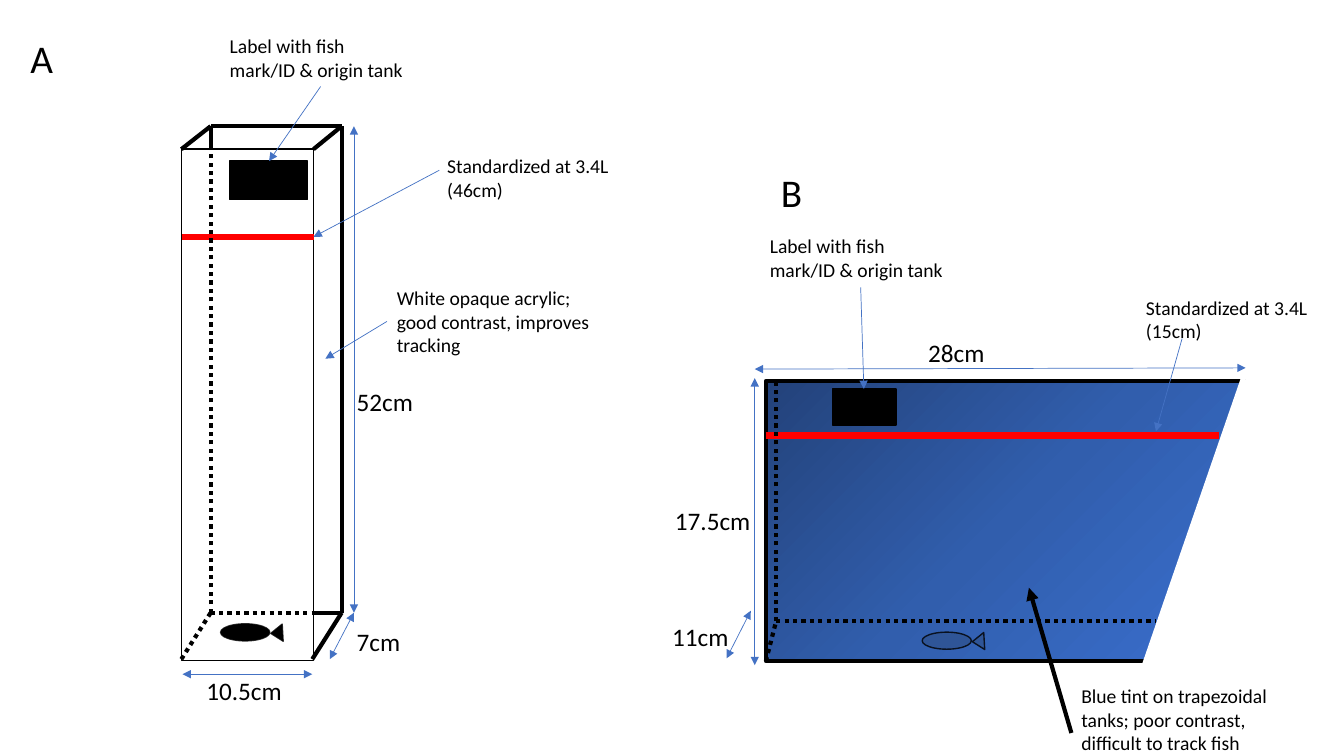
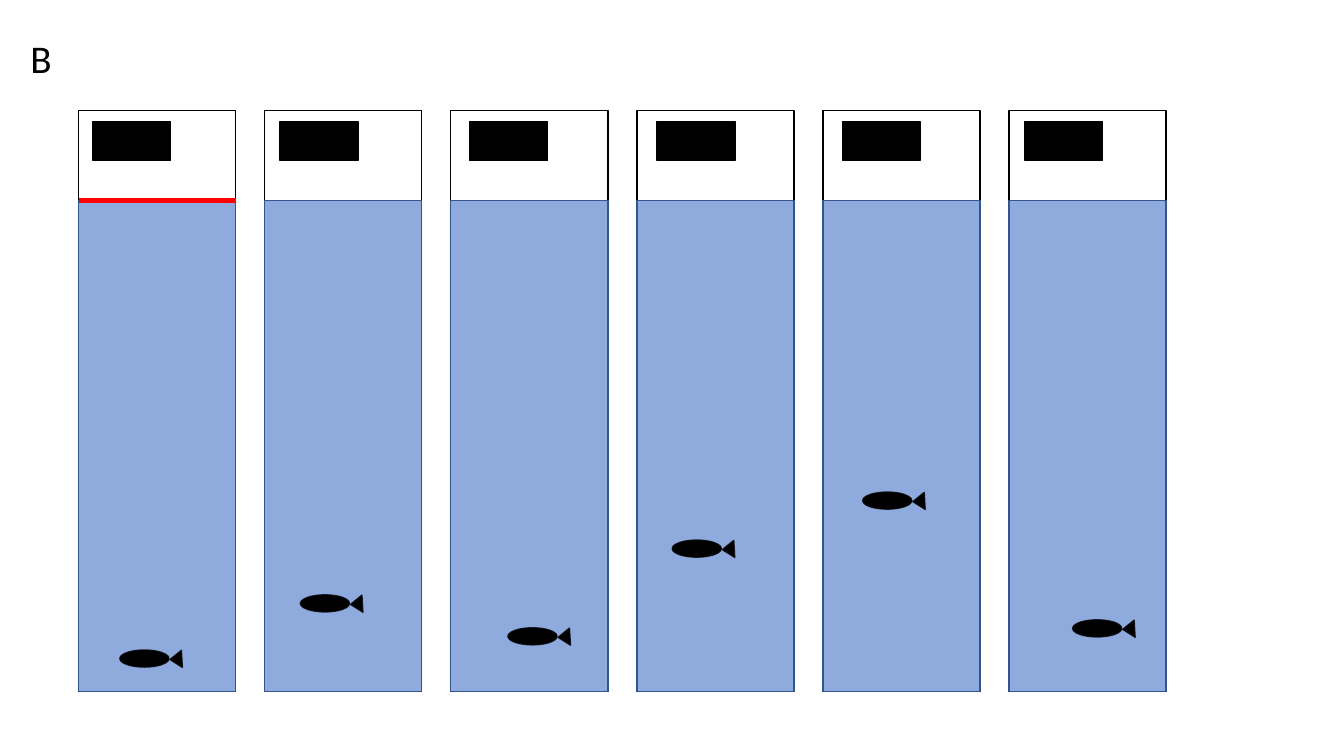
import copy
from dataclasses import dataclass
from typing import NamedTuple, Optional

import pptx
import pptx.dml.color
import pptx.enum.dml
import pptx.enum.shapes
import pptx.enum.text
import pptx.oxml.ns
import pptx.util
from lxml import etree

Cm, Pt = pptx.util.Cm, pptx.util.Pt
qn = pptx.oxml.ns.qn
KIND = pptx.enum.shapes.MSO_SHAPE


# Theme
@dataclass(frozen=True)
class Theme:
    font: str = "Calibri"
    black: str = "000000"
    white: str = "FFFFFF"
    red: str = "FF0000"
    blue: str = "4472C4"
    navy: str = "2F5597"
    water: str = "8FAADC"
    edge: str = "325491"
    tint: tuple = ((0, "23427A"), (0.5, "315EAD"), (1, "3A6FCE"))
    big: int = 28
    mid: int = 18
    small: int = 14


T = Theme()


class Pen(NamedTuple):
    color: str
    width: float
    dots: bool = False
    head: bool = False
    tail: bool = False


class Line(NamedTuple):
    x1: float
    y1: float
    x2: float
    y2: float
    pen: Pen


class Box(NamedTuple):
    x: float
    y: float
    w: float
    h: float


class Note(NamedTuple):
    text: str
    box: Box
    size: int = T.small


class Lane(NamedTuple):
    label: float
    fish_x: float
    fish_y: float


WALL = Pen(T.black, 3)
DOTS = Pen(T.black, 3, dots=True)
LEVEL = Pen(T.red, 4.5)
POINT = Pen(T.blue, 0.5, tail=True)
SPAN = Pen(T.blue, 0.5, head=True, tail=True)
BOLD = Pen(T.black, 3, tail=True)
CORNER = Box(0.51, 0.74, 2.24, 1.45)


# Drawing tools
def rgb(code: str) -> pptx.dml.color.RGBColor:
    return pptx.dml.color.RGBColor.from_string(code)


def put(slide, box: Box, fill: Optional[str], line: Optional[str] = T.black,
        width: float = 1, kind=KIND.RECTANGLE):
    shape = slide.shapes.add_shape(kind, *map(Cm, box))
    shape.shadow.inherit = False
    if fill:
        shape.fill.solid()
        shape.fill.fore_color.rgb = rgb(fill)
    if line:
        shape.line.color.rgb = rgb(line)
        shape.line.width = Pt(width)
    else:
        shape.line.fill.background()
    return shape


def shade(shape, stops: tuple) -> None:
    shape.fill.gradient()
    shape.fill.gradient_angle = 315
    first = shape._element.spPr.find(qn("a:gradFill")).find(qn("a:gsLst"))[0]
    first.addnext(copy.deepcopy(first))
    for stop, (place, color) in zip(shape.fill.gradient_stops, stops):
        stop.position = place
        stop.color.rgb = rgb(color)


def draw(slide, line: Line) -> None:
    pen = line.pen
    link = slide.shapes.add_connector(
        pptx.enum.shapes.MSO_CONNECTOR.STRAIGHT, *map(Cm, line[:4]))
    link.line.color.rgb = rgb(pen.color)
    link.line.width = Pt(pen.width)
    if pen.dots:
        link.line.dash_style = pptx.enum.dml.MSO_LINE.ROUND_DOT
    props = link._element.spPr
    for tag, on in (("a:headEnd", pen.head), ("a:tailEnd", pen.tail)):
        if on:
            etree.SubElement(props.find(qn("a:ln")), qn(tag), type="triangle")
    etree.SubElement(props, qn("a:effectLst"))


def write(frame, text: str, *, size: int = T.small, color: str = T.black) -> None:
    frame.word_wrap = True
    frame.auto_size = pptx.enum.text.MSO_AUTO_SIZE.NONE
    frame.vertical_anchor = pptx.enum.text.MSO_ANCHOR.TOP
    frame.text = text
    para = frame.paragraphs[0]
    para.alignment = pptx.enum.text.PP_ALIGN.LEFT
    font = para.runs[0].font
    font.name, font.size, font.color.rgb = T.font, Pt(size), rgb(color)


def tell(slide, note: Note) -> None:
    area = slide.shapes.add_textbox(*map(Cm, note.box))
    write(area.text_frame, note.text, size=note.size)


def fish(slide, x: float, y: float, fill: str = T.black) -> None:
    body = put(slide, Box(x, y, 1.24, 0.43), fill, kind=KIND.OVAL)
    fin = put(slide, Box(x + 1.2, y + 0.08, 0.43, 0.3), fill,
              kind=KIND.ISOSCELES_TRIANGLE)
    fin.rotation = 266.6
    for part in (body, fin):
        tone = part._element.spPr.find(qn("a:ln")).find(qn("a:solidFill"))[0]
        etree.SubElement(tone, qn("a:alpha"), val="80000")


def page(deck, letter: str):
    slide = deck.slides.add_slide(deck.slide_layouts[5])
    title = slide.shapes.title
    title.left, title.top, title.width, title.height = map(Cm, CORNER)
    write(title.text_frame, letter, size=T.big)
    return slide


def size(text: str, x: float, y: float) -> Note:
    return Note(text, Box(x, y, 2.79, 1.02), T.mid)


# Tall tank
TALL_LINES = (
    Line(4.6, 5.97, 7.92, 5.97, LEVEL),
    Line(4.57, 16.61, 5.31, 15.44, DOTS),
    Line(7.87, 16.61, 8.61, 15.44, WALL),
    Line(8.61, 3.18, 8.61, 15.44, WALL),
    Line(4.57, 3.76, 5.31, 3.18, WALL),
    Line(5.31, 15.44, 5.31, 3.76, DOTS),
    Line(5.31, 3.18, 5.31, 3.76, WALL),
    Line(5.31, 15.44, 7.9, 15.44, DOTS),
    Line(7.9, 15.44, 8.61, 15.44, WALL),
    Line(8.61, 3.18, 5.31, 3.18, WALL),
    Line(8.61, 3.18, 7.9, 3.76, WALL),
    Line(8.31, 16.61, 8.92, 15.44, SPAN),
    Line(4.6, 16.99, 7.87, 16.99, SPAN),
    Line(8.92, 3.18, 8.92, 15.44, SPAN),
    Line(11.07, 4.29, 7.9, 5.97, POINT),
    Line(9.75, 8.1, 8.2, 9.04, POINT),
)
TALL_TAG = Line(8.08, 2.18, 6.78, 4.06, POINT)
TALL_NOTES = (
    size("7cm", 8.74, 15.65),
    size("10.5cm", 4.95, 16.89),
    size("52cm", 8.74, 9.6),
    Note("Standardized at 3.4L (46cm)", Box(11.02, 3.76, 5.56, 1.45)),
    Note("Label with fish mark/ID & origin tank", Box(5.54, 0.74, 5.08, 1.45)),
    Note("White opaque acrylic; good contrast, improves tracking",
         Box(9.75, 7.09, 5.56, 2.06)),
)

# Trapezoid tank
WIDE_LINES = (
    Line(19.3, 10.97, 30.71, 10.97, LEVEL),
    Line(29.79, 8.53, 29.13, 10.87, POINT),
    Line(19.02, 9.53, 19.02, 16.76, SPAN),
    Line(19.02, 9.3, 31.39, 9.27, SPAN),
    Line(19.3, 16.66, 19.56, 15.65, DOTS),
    Line(19.56, 15.65, 19.56, 9.63, DOTS),
    Line(19.56, 15.65, 29.13, 15.65, DOTS),
    Line(18.31, 16.59, 18.92, 15.39, SPAN),
    Line(27, 18.47, 25.93, 14.81, BOLD),
)
WIDE_TAG = Line(21.69, 7.24, 21.77, 9.8, POINT)
WIDE_NOTES = (
    Note("Standardized at 3.4L (15cm)", Box(28.63, 7.32, 5.56, 1.45)),
    size("17.5cm", 16.76, 12.62),
    size("28cm", 23.14, 8.38),
    size("11cm", 16.69, 15.52),
    Note("Label with fish mark/ID & origin tank", Box(19.15, 5.77, 5.08, 1.45)),
    Note("Blue tint on trapezoidal tanks; poor contrast, difficult to track fish",
         Box(27, 17.12, 5.56, 2.64)),
    Note("B", Box(19.43, 4.11, 2.24, 1.45), T.big),
)

# Row of tanks
LANES = (
    Lane(2.34, 3.02, 16.38),
    Lane(7.06, 7.57, 14.99),
    Lane(11.84, 12.8, 15.82),
    Lane(16.56, 16.94, 13.61),
    Lane(21.23, 21.74, 12.4),
    Lane(25.83, 27.03, 15.62),
)
LEFT, STEP, WIDE, FILL = 1.98, 4.69, 3.96, 5.05


def fit(slide, lines: tuple, notes: tuple, label: Box, tag: Line) -> None:
    for line in lines:
        draw(slide, line)
    put(slide, label, T.black)
    draw(slide, tag)
    for note in notes:
        tell(slide, note)


def plans(deck) -> None:
    slide = page(deck, "A")
    put(slide, Box(4.57, 3.76, 3.33, 12.88), T.white)
    fit(slide, TALL_LINES, TALL_NOTES, Box(5.79, 4.06, 1.96, 0.97), TALL_TAG)
    fish(slide, 5.56, 15.72)

    tank = put(slide, Box(19.3, 9.6, 12.04, 7.06), None, width=3)
    shade(tank, T.tint)
    put(slide, Box(28.78, 9.37, 5.09, 7.37), T.white, None,
        kind=KIND.ISOSCELES_TRIANGLE)
    fit(slide, WIDE_LINES, WIDE_NOTES, Box(20.98, 9.8, 1.6, 0.91), WIDE_TAG)
    fish(slide, 23.24, 15.93, T.navy)


def tanks(deck) -> None:
    slide = page(deck, "B")
    for i, lane in enumerate(LANES):
        x = LEFT + i * STEP
        put(slide, Box(x, 2.79, WIDE, 14.63), T.white)
        put(slide, Box(x, FILL, WIDE, 12.37), T.water, T.edge)
        put(slide, Box(lane.label, 3.07, 1.96, 0.97), T.black)
        fish(slide, lane.fish_x, lane.fish_y)
    draw(slide, Line(LEFT, FILL, LEFT + WIDE, FILL, Pen(T.red, 3)))


# Build
deck = pptx.Presentation()
deck.slide_width, deck.slide_height = Cm(33.87), Cm(19.05)
plans(deck)
tanks(deck)
deck.save("out.pptx")
